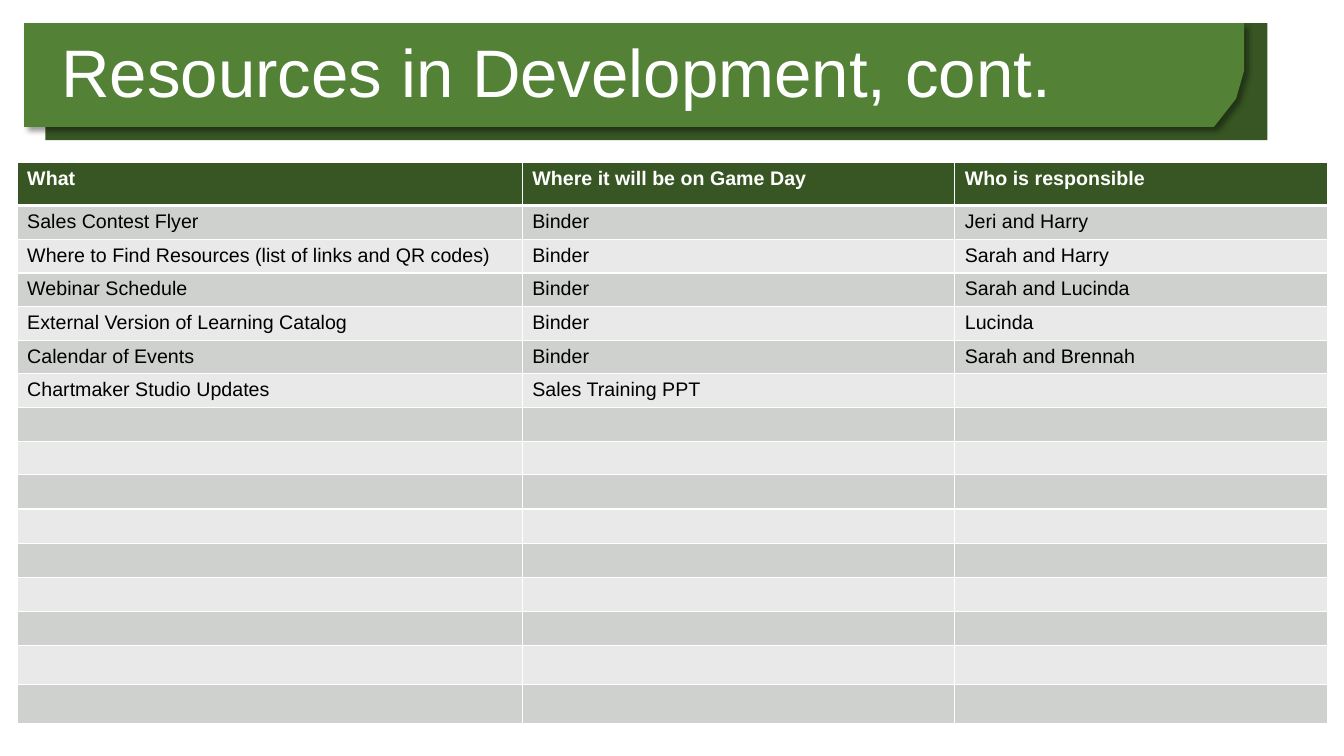
from lxml.etree import SubElement
from pptx import Presentation
from pptx.dml.color import RGBColor
from pptx.enum.shapes import MSO_SHAPE
from pptx.enum.text import MSO_ANCHOR
from pptx.oxml.ns import qn
from pptx.util import Inches, Pt

TITLE = "Resources in Development, cont."
HEADER = ("What", "Where it will be on Game Day", "Who is responsible")
RESOURCES = [
    ("Sales Contest Flyer", "Binder", "Jeri and Harry"),
    ("Where to Find Resources (list of links and QR codes)", "Binder", "Sarah and Harry"),
    ("Webinar Schedule", "Binder", "Sarah and Lucinda"),
    ("External Version of Learning Catalog", "Binder", "Lucinda"),
    ("Calendar of Events", "Binder", "Sarah and Brennah"),
    ("Chartmaker Studio Updates", "Sales Training PPT", ""),
]
EMPTY_ROWS = 9
COL_WIDTHS = (5.01, 4.29, 3.7)
ROW_HEIGHTS = [0.43] + [0.32] * 4 + [0.33, 0.32, 0.33, 0.32] + [0.34] * 4 + [0.32, 0.39, 0.39]
BANNER = [(0.24, 0.23), (12.34, 0.23), (12.34, 0.7), (12.26, 0.98), (12.04, 1.26), (0.24, 1.26)]

FONT = "Arial"
DARK_GREEN = RGBColor(0x37, 0x56, 0x23)
GREEN = RGBColor(0x53, 0x81, 0x35)
WHITE = RGBColor(0xFF, 0xFF, 0xFF)
BLACK = RGBColor(0, 0, 0)
BANDS = (RGBColor(0xE8, 0xE9, 0xE8), RGBColor(0xCE, 0xD1, 0xCD))


def fill_shape(sp, color):
    sp.shadow.inherit = False
    sp.fill.solid()
    sp.fill.fore_color.rgb = color
    sp.line.fill.background()


def add_shadow(sp):
    effects = sp._element.spPr.find(qn("a:effectLst"))
    shadow = SubElement(effects, qn("a:outerShdw"), blurRad=str(Pt(4)), dist=str(Pt(3)),
                        dir=str(45 * 60000), algn="tl", rotWithShape="0")
    color = SubElement(shadow, qn("a:srgbClr"), val=str(BLACK))
    SubElement(color, qn("a:alpha"), val="40000")


def add_run(p, text, size, color, bold=False):
    r = p.add_run()
    r.text = text
    r.font.name = FONT
    r.font.size = Pt(size)
    r.font.bold = bold
    r.font.color.rgb = color


def add_borders(cell, bottom):
    tcPr = cell._tc.get_or_add_tcPr()
    for side, width in (("L", 1), ("R", 1), ("T", 1), ("B", bottom)):
        ln = SubElement(tcPr, qn(f"a:ln{side}"), w=str(Pt(width)))
        fill = SubElement(ln, qn("a:solidFill"))
        SubElement(fill, qn("a:srgbClr"), val=str(WHITE))


def add_title(s):
    back = s.shapes.add_shape(MSO_SHAPE.RECTANGLE, Inches(0.45), Inches(0.23),
                              Inches(12.12), Inches(1.16))
    fill_shape(back, DARK_GREEN)
    points = [(Inches(x), Inches(y)) for x, y in BANNER]
    builder = s.shapes.build_freeform(*points[0])
    builder.add_line_segments(points[1:], close=True)
    banner = builder.convert_to_shape()
    fill_shape(banner, GREEN)
    add_shadow(banner)

    tf = s.shapes.add_textbox(Inches(0.51), Inches(0.36), Inches(10.98), Inches(0.79)).text_frame
    tf.word_wrap = True
    tf.vertical_anchor = MSO_ANCHOR.MIDDLE
    p = tf.paragraphs[0]
    p.line_spacing = 0.9
    add_run(p, TITLE, 48, WHITE)


def add_resource_table(s):
    rows = [HEADER] + RESOURCES + [("",) * len(HEADER)] * EMPTY_ROWS
    table = s.shapes.add_table(len(rows), len(HEADER), Inches(0.17), Inches(1.61),
                               Inches(sum(COL_WIDTHS)), Inches(sum(ROW_HEIGHTS))).table
    for column, width in zip(table.columns, COL_WIDTHS):
        column.width = Inches(width)
    for i, (texts, height) in enumerate(zip(rows, ROW_HEIGHTS)):
        table.rows[i].height = Inches(height)
        is_header = i == 0
        for j, text in enumerate(texts):
            cell = table.cell(i, j)
            add_borders(cell, 3 if is_header else 1)
            cell.fill.solid()
            cell.fill.fore_color.rgb = DARK_GREEN if is_header else BANDS[i % 2]
            p = cell.text_frame.paragraphs[0]
            if text:
                add_run(p, text, 14, WHITE if is_header else BLACK, is_header)
            else:
                SubElement(p._p, qn("a:endParaRPr"), sz="1400")


def main():
    prs = Presentation()
    prs.slide_width, prs.slide_height = Inches(13.33), Inches(7.5)
    s = prs.slides.add_slide(prs.slide_layouts[6])
    add_title(s)
    add_resource_table(s)
    prs.save("out.pptx")


if __name__ == "__main__":
    main()
